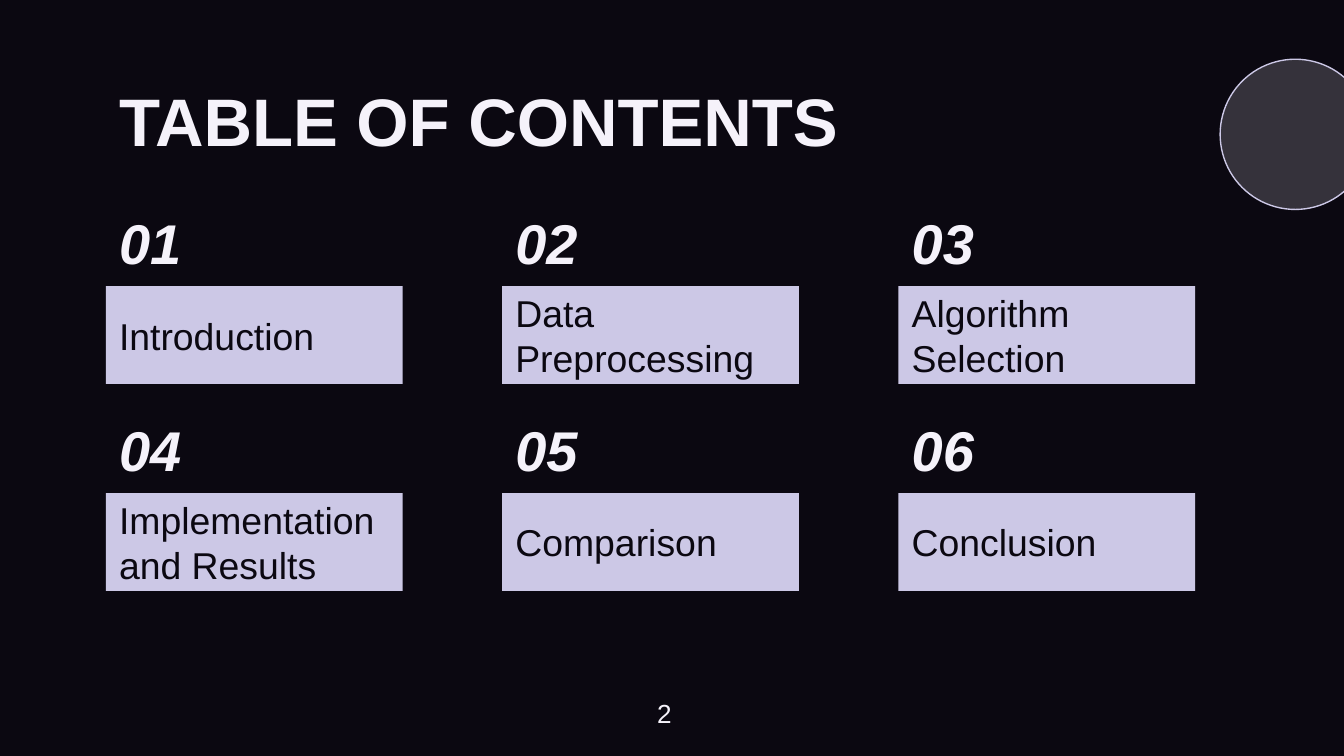
import pptx
import pptx.util
import pptx.dml.color
import pptx.enum.shapes
import pptx.enum.text
from lxml import etree
from pptx.oxml.ns import qn

Cm, Pt = pptx.util.Cm, pptx.util.Pt
RGBColor = pptx.dml.color.RGBColor
MSO_SHAPE = pptx.enum.shapes.MSO_SHAPE
ANCHOR = pptx.enum.text.MSO_ANCHOR

TITLE = "TABLE OF CONTENTS"
SECTIONS = [
    "Introduction", "Data Preprocessing", "Algorithm Selection",
    "Implementation and Results", "Comparison", "Conclusion",
]
PAGE = "2"

NIGHT = RGBColor(0x0B, 0x08, 0x11)
WHITE = RGBColor(0xF5, 0xF2, 0xFA)
LILAC = RGBColor(0xCC, 0xC8, 0xE6)

# Grid of sections, in centimetres
COLUMNS = 3
LEFT, TOP = 2, 3.96
PITCH_X, PITCH_Y = 7.49, 3.91
NUMBER_W, NUMBER_H = 2.84, 1.25
LABEL_DROP, LABEL_W, LABEL_H = 1.45, 5.61, 1.85


def write(sp, text, size, color, anchor=ANCHOR.MIDDLE, inset=0.25, bold=False, italic=False):
    tf = sp.text_frame
    tf.word_wrap = True
    tf.auto_size = pptx.enum.text.MSO_AUTO_SIZE.NONE
    tf.vertical_anchor = anchor
    tf.margin_left = tf.margin_right = Cm(0.25)
    tf.margin_top = tf.margin_bottom = Cm(inset)
    p = tf.paragraphs[0]
    p.text = text
    p.alignment = pptx.enum.text.PP_ALIGN.LEFT
    font = p.font
    font.name, font.size = "Arial", Pt(size)
    font.bold, font.italic = bold, italic
    font.color.rgb = color


def add_section(s, index, name):
    row, column = divmod(index, COLUMNS)
    x, y = LEFT + column * PITCH_X, TOP + row * PITCH_Y
    number = s.shapes.add_textbox(Cm(x), Cm(y), Cm(NUMBER_W), Cm(NUMBER_H))
    write(number, f"{index + 1:02}", 30, WHITE, bold=True, italic=True)
    label = s.shapes.add_shape(
        MSO_SHAPE.RECTANGLE, Cm(x), Cm(y + LABEL_DROP), Cm(LABEL_W), Cm(LABEL_H))
    label.shadow.inherit = False
    label.fill.solid()
    label.fill.fore_color.rgb = LILAC
    label.line.fill.background()
    write(label, name, 20, NIGHT)


def add_circle(s):
    circle = s.shapes.add_shape(MSO_SHAPE.OVAL, Cm(23.06), Cm(1.12), Cm(2.84), Cm(2.84))
    circle.shadow.inherit = False
    circle.fill.solid()
    circle.fill.fore_color.rgb = WHITE
    color = circle.fill._xPr.find(qn("a:solidFill"))[0]
    etree.SubElement(color, qn("a:alpha"), val="18000")
    circle.line.color.rgb = LILAC
    circle.line.width = Pt(0.75)


def main():
    prs = pptx.Presentation()
    prs.slide_width, prs.slide_height = Cm(25.4), Cm(14.29)
    s = prs.slides.add_slide(prs.slide_layouts[5])
    s.background.fill.solid()
    s.background.fill.fore_color.rgb = NIGHT

    title = s.shapes.title
    title.left, title.top, title.width, title.height = Cm(LEFT), Cm(1.25), Cm(21.4), Cm(1.6)
    write(title, TITLE, 36, WHITE, anchor=ANCHOR.TOP, bold=True)

    for index, name in enumerate(SECTIONS):
        add_section(s, index, name)
    add_circle(s)

    page = s.shapes.add_textbox(Cm(12.17), Cm(13.06), Cm(1.04), Cm(0.86))
    write(page, PAGE, 14, WHITE, anchor=ANCHOR.TOP, inset=0.13)

    prs.save("out.pptx")


if __name__ == "__main__":
    main()
